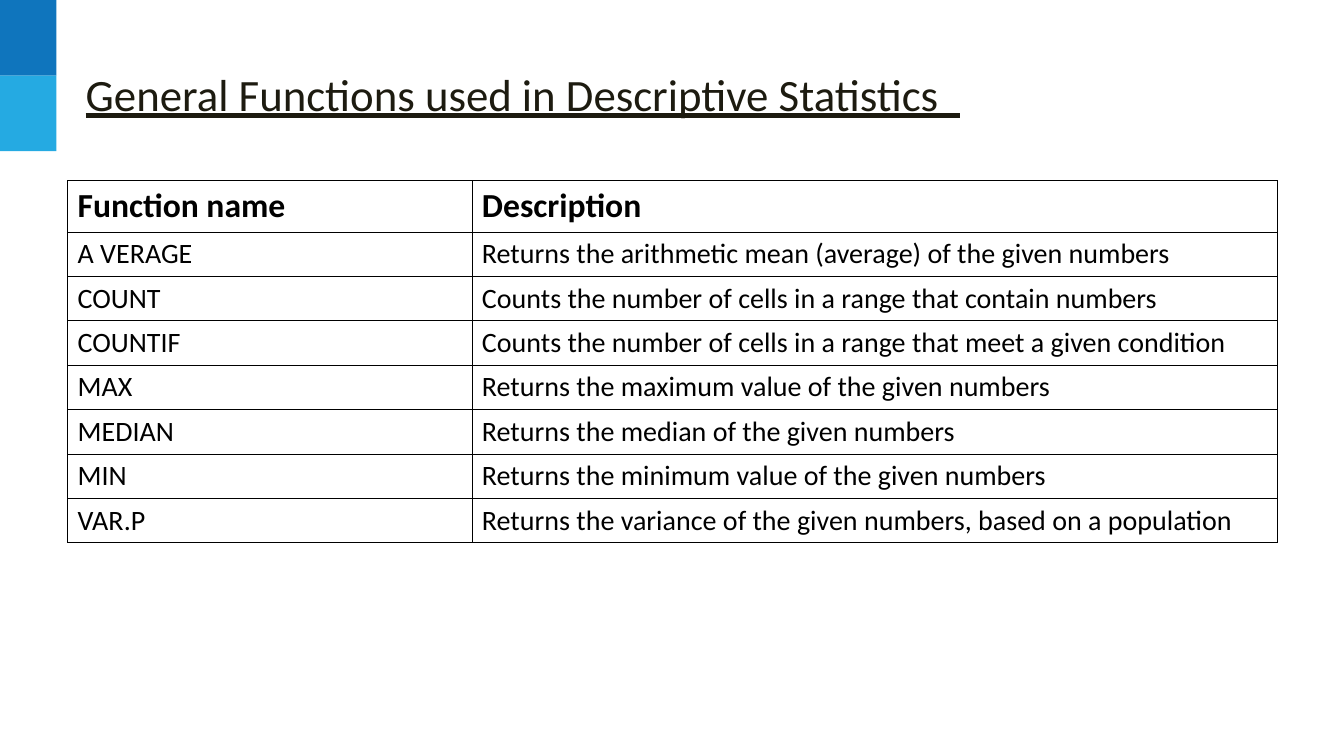
from lxml import etree
from pptx import Presentation, util as u
from pptx.dml.color import RGBColor
from pptx.enum import shapes, text
from pptx.oxml.ns import qn

COLORS = {
    "dark_blue": "0F75BD",
    "light_blue": "25AAE2",
    "title": "1D1B10",
    "text": "000000",
    "cell": "FFFFFF",
}
FONT = "Calibri"
TITLE = "General Functions used in Descriptive Statistics  "
FUNCTIONS = [
    ("Function name", "Description"),
    ("A VERAGE", "Returns the arithmetic mean (average) of the given numbers"),
    ("COUNT", "Counts the number of cells in a range that contain numbers"),
    ("COUNTIF", "Counts the number of cells in a range that meet a given condition"),
    ("MAX", "Returns the maximum value of the given numbers"),
    ("MEDIAN", "Returns the median of the given numbers"),
    ("MIN", "Returns the minimum value of the given numbers"),
    ("VAR.P", "Returns the variance of the given numbers, based on a population"),
]


def color(name):
    return RGBColor.from_string(COLORS[name])


def format_font(font, size, color_name, bold=False):
    font.name = FONT
    font.size = u.Pt(size)
    font.bold = bold
    font.color.rgb = color(color_name)


def add_corner_blocks(slide, left, top, width, height):
    """Stack two equal blue blocks in the box."""
    block_height = height / 2
    for index, name in enumerate(("dark_blue", "light_blue")):
        block = slide.shapes.add_shape(
            shapes.MSO_SHAPE.RECTANGLE,
            u.Inches(left), u.Inches(top + index * block_height),
            u.Inches(width), u.Inches(block_height))
        block.shadow.inherit = False
        block.fill.solid()
        block.fill.fore_color.rgb = color(name)
        block.line.fill.background()


def place_title(slide, left, top, width, height):
    title = slide.shapes.title
    title.left, title.top = u.Inches(left), u.Inches(top)
    title.width, title.height = u.Inches(width), u.Inches(height)
    frame = title.text_frame
    frame.text = TITLE
    frame.word_wrap = True
    frame.auto_size = text.MSO_AUTO_SIZE.NONE
    frame.vertical_anchor = text.MSO_ANCHOR.MIDDLE
    paragraph = frame.paragraphs[0]
    paragraph.alignment = text.PP_ALIGN.LEFT
    paragraph.space_before = u.Pt(6.4)
    properties = paragraph._p.get_or_add_pPr()
    properties.set("marL", str(u.Inches(0.08)))
    properties.set("indent", "0")
    format_font(paragraph.font, 32, "title")
    paragraph.font.underline = True


def add_cell_borders(cell):
    properties = cell._tc.get_or_add_tcPr()
    for index, side in enumerate(("lnL", "lnR", "lnT", "lnB")):
        line = etree.Element(qn(f"a:{side}"), w=str(u.Pt(0.48)))
        fill = etree.SubElement(line, qn("a:solidFill"))
        etree.SubElement(fill, qn("a:srgbClr"), val=COLORS["text"])
        properties.insert(index, line)


def add_function_table(slide, left, top, width, header_height, row_height):
    height = header_height + row_height * (len(FUNCTIONS) - 1)
    table = slide.shapes.add_table(
        len(FUNCTIONS), 2, u.Inches(left), u.Inches(top),
        u.Inches(width), u.Inches(height)).table
    table.horz_banding = False
    name_width = 4.01
    table.columns[0].width = u.Inches(name_width)
    table.columns[1].width = u.Inches(width - name_width)
    for row_index, values in enumerate(FUNCTIONS):
        header = row_index == 0
        table.rows[row_index].height = u.Inches(header_height if header else row_height)
        for column_index, value in enumerate(values):
            cell = table.cell(row_index, column_index)
            cell.text = value
            cell.vertical_anchor = text.MSO_ANCHOR.MIDDLE
            cell.fill.solid()
            cell.fill.fore_color.rgb = color("cell")
            format_font(cell.text_frame.paragraphs[0].font,
                        24 if header else 20, "text", bold=header)
            add_cell_borders(cell)


def main():
    presentation = Presentation()
    presentation.slide_width = u.Inches(13.33)
    presentation.slide_height = u.Inches(7.5)
    slide = presentation.slides.add_slide(presentation.slide_layouts[5])
    add_corner_blocks(slide, 0, 0, 0.56, 1.5)
    place_title(slide, 0.67, 0.3, 12, 1.25)
    add_function_table(slide, 0.67, 1.79, 12, 0.51, 0.44)
    presentation.save("out.pptx")


if __name__ == "__main__":
    main()
